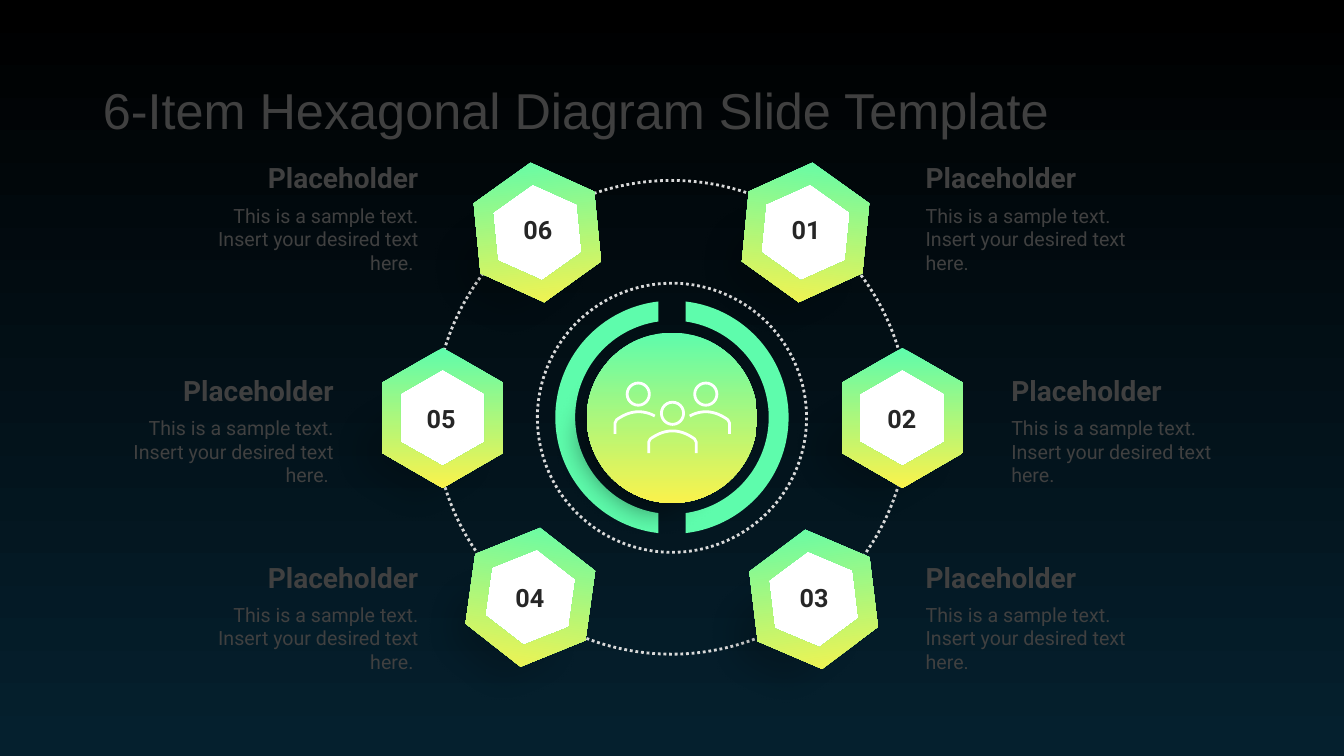
import math

import lxml.etree
import pptx
import pptx.dml.color
import pptx.enum.dml
import pptx.enum.shapes
import pptx.enum.text
import pptx.oxml.ns
import pptx.util

PX = 9144
BLACK = pptx.dml.color.RGBColor(0x00, 0x00, 0x00)
NAVY = pptx.dml.color.RGBColor(0x05, 0x20, 0x2E)
MINT = pptx.dml.color.RGBColor(0x5E, 0xFC, 0xAC)
YELLOW = pptx.dml.color.RGBColor(0xFA, 0xF2, 0x4C)
WHITE = pptx.dml.color.RGBColor(0xFF, 0xFF, 0xFF)
DOTS = pptx.dml.color.RGBColor(0xD9, 0xD9, 0xD9)
GRAY = pptx.dml.color.RGBColor(0x40, 0x40, 0x40)
INK = pptx.dml.color.RGBColor(0x26, 0x26, 0x26)

LEFT = pptx.enum.text.PP_ALIGN.LEFT
RIGHT = pptx.enum.text.PP_ALIGN.RIGHT
CENTER = pptx.enum.text.PP_ALIGN.CENTER
TOP = pptx.enum.text.MSO_ANCHOR.TOP
MIDDLE = pptx.enum.text.MSO_ANCHOR.MIDDLE
BOTTOM = pptx.enum.text.MSO_ANCHOR.BOTTOM

TITLE = {"name": "Arial", "size": pptx.util.Pt(36), "bold": False}
NUMBER = {"name": "Roboto", "size": pptx.util.Pt(18), "bold": True}
HEADING = {"name": "Roboto", "size": pptx.util.Pt(20), "bold": True}
BODY = {"name": "Roboto", "size": pptx.util.Pt(14), "bold": False}

SAMPLE = "This is a sample text. Insert your desired text here."
HUB = (666.5, 414)
ITEMS = [
    ("06", (533, 230.5), -5.6, (533, 228), (183, 155), RIGHT),
    ("05", (439, 414.5), 0, (437, 415), (99, 366), RIGHT),
    ("04", (526, 592.5), 8, (525, 593), (183, 551), RIGHT),
    ("01", (799, 230.5), 5.6, (799, 228), (918, 155), LEFT),
    ("02", (895, 414.5), 0, (894, 415), (1003, 366), LEFT),
    ("03", (807, 594.5), -6.9, (807, 593), (918, 551), LEFT),
]


def hexagon(center, width, height):
    """Return the corners of an upright hexagon, clockwise from its top."""
    x, y = center
    corners = [(0, -2), (1, -1), (1, 1), (0, 2), (-1, 1), (-1, -1)]
    return [(x + i * width / 2, y + j * height / 4) for i, j in corners]


def half_ring(side):
    """Return the outline of one half of the ring around the hub."""
    outline = []
    for radius, order in ((115.7, 1), (96, -1)):
        start = math.asin(13.5 / radius)
        angles = [start + (math.pi - 2 * start) * i / 60 for i in range(61)]
        outline += [(HUB[0] + side * radius * math.sin(angle),
                     HUB[1] - radius * math.cos(angle)) for angle in angles[::order]]
    return outline


def shoulders(center, side, reach):
    """Return the line of a person's shoulders, ending at the given reach."""
    curve = [(x, 1.5 + 8 * (x / 22) ** 2) for x in range(-22, reach + 1)]
    line = [(-23.5, 23.5), (-23.5, 12.5)] + curve
    if reach == 22:
        line += [(23.5, 12.5), (23.5, 23.5)]
    return [(center[0] + side * x, center[1] + y) for x, y in line]


class HexagonSlide:
    """Draws styled elements on one slide, measured in px."""

    def __init__(self, presentation):
        self.slide = presentation.slides.add_slide(presentation.slide_layouts[5])
        self.shapes = self.slide.shapes

    def gradient(self, fill, colors, last=1.0):
        fill.gradient()
        fill.gradient_angle = 270
        for stop, color, position in zip(fill.gradient_stops, colors, (0, last)):
            stop.color.rgb = color
            stop.position = position

    def paint(self, shape, fill=None, line=None, width=2, alpha=None):
        shape.shadow.inherit = False
        if fill is None:
            shape.fill.background()
        elif isinstance(fill, list):
            self.gradient(shape.fill, fill)
        else:
            shape.fill.solid()
            shape.fill.fore_color.rgb = fill
        if line is None:
            shape.line.fill.background()
        else:
            shape.line.color.rgb = line
            shape.line.width = pptx.util.Pt(width)
        if alpha:
            self.soften(shape, alpha)

    def soften(self, shape, alpha):
        qn = pptx.oxml.ns.qn
        properties = shape._element.spPr
        color = properties.find(qn("a:solidFill")).find(qn("a:srgbClr"))
        lxml.etree.SubElement(color, qn("a:alpha"), val=str(alpha * 1000))
        effects = properties.find(qn("a:effectLst"))
        lxml.etree.SubElement(effects, qn("a:softEdge"), rad=str(32 * PX))

    def circle(self, left, top, size, **style):
        shape = self.shapes.add_shape(
            pptx.enum.shapes.MSO_SHAPE.OVAL, left * PX, top * PX, size * PX, size * PX)
        self.paint(shape, **style)
        return shape

    def dotted_circle(self, left, top, size):
        shape = self.circle(left, top, size, line=DOTS)
        shape.line.dash_style = pptx.enum.dml.MSO_LINE.ROUND_DOT

    def outline(self, *contours, rotation=0, closed=True, **style):
        scaled = [[(x * PX, y * PX) for x, y in contour] for contour in contours]
        builder = self.shapes.build_freeform(*scaled[0][0], scale=1.0)
        builder.add_line_segments(scaled[0][1:], close=closed)
        for contour in scaled[1:]:
            builder.move_to(*contour[0])
            builder.add_line_segments(contour[1:], close=closed)
        shape = builder.convert_to_shape()
        shape.rotation = rotation
        self.paint(shape, **style)

    def fill_frame(self, frame, text, style, color, align, anchor):
        frame.word_wrap = True
        frame.vertical_anchor = anchor
        frame.text = text
        paragraph = frame.paragraphs[0]
        paragraph.alignment = align
        font = paragraph.runs[0].font
        for name, value in style.items():
            setattr(font, name, value)
        font.color.rgb = color
        return paragraph

    def text(self, left, top, width, height, *content):
        box = self.shapes.add_textbox(left * PX, top * PX, width * PX, height * PX)
        for side in ("left", "top", "right", "bottom"):
            setattr(box.text_frame, f"margin_{side}", 0)
        self.fill_frame(box.text_frame, *content)

    def title(self, text):
        shape = self.shapes.title
        place = {"left": 92, "top": 40, "width": 1150, "height": 145}
        for name, value in place.items():
            setattr(shape, name, value * PX)
        paragraph = self.fill_frame(shape.text_frame, text, TITLE, GRAY, LEFT, MIDDLE)
        paragraph.line_spacing = 0.9

    def badge(self, center, rotation):
        self.outline(hexagon(center, 102, 118), rotation=rotation, fill=WHITE)
        self.outline(hexagon(center, 120, 139), hexagon(center, 84, 96)[::-1],
                     rotation=rotation, fill=[MINT, YELLOW])

    def label(self, left, top, align):
        body = SAMPLE + " " if align == RIGHT else SAMPLE
        self.text(left, top + 47, 232, 53, body, BODY, GRAY, align, TOP)
        self.text(left, top, 232, 38, "Placeholder", HEADING, GRAY, align, BOTTOM)

    def people(self):
        self.shapes = self.slide.shapes.add_group_shape().shapes
        for left, top in ((622, 380), (689, 380), (656, 399)):
            self.circle(left, top, 22, line=WHITE)
        for center, side, reach in (((633.5, 407), 1, 16), ((700, 407), -1, 16),
                                    ((667, 426), 1, 22)):
            self.outline(shoulders(center, side, reach), closed=False, line=WHITE)
        self.shapes = self.slide.shapes


def main():
    presentation = pptx.Presentation()
    presentation.slide_width = 1333 * PX
    presentation.slide_height = 750 * PX
    page = HexagonSlide(presentation)
    page.gradient(page.slide.background.fill, [BLACK, NAVY], 0.99)
    page.title("6-Item Hexagonal Diagram Slide Template")
    page.dotted_circle(431, 179, 470)
    for side in (-1, 1):
        page.outline(half_ring(side), fill=MINT)
    page.dotted_circle(533, 281, 267)
    page.circle(541, 331, 210, fill=BLACK, alpha=61)
    for _, (x, y), rotation, *_ in ITEMS:
        page.outline(hexagon((x - 27, y + 32), 171, 198),
                     rotation=rotation, fill=BLACK, alpha=18)
    page.circle(582, 330, 169, fill=[MINT, YELLOW])
    for _, center, rotation, *_ in ITEMS:
        page.badge(center, rotation)
    for number, _, _, (x, y), (left, top), align in ITEMS:
        page.text(x - 28, y - 25, 57, 50, number, NUMBER, INK, CENTER, MIDDLE)
        page.label(left, top, align)
    page.people()
    presentation.save("out.pptx")


if __name__ == "__main__":
    main()
